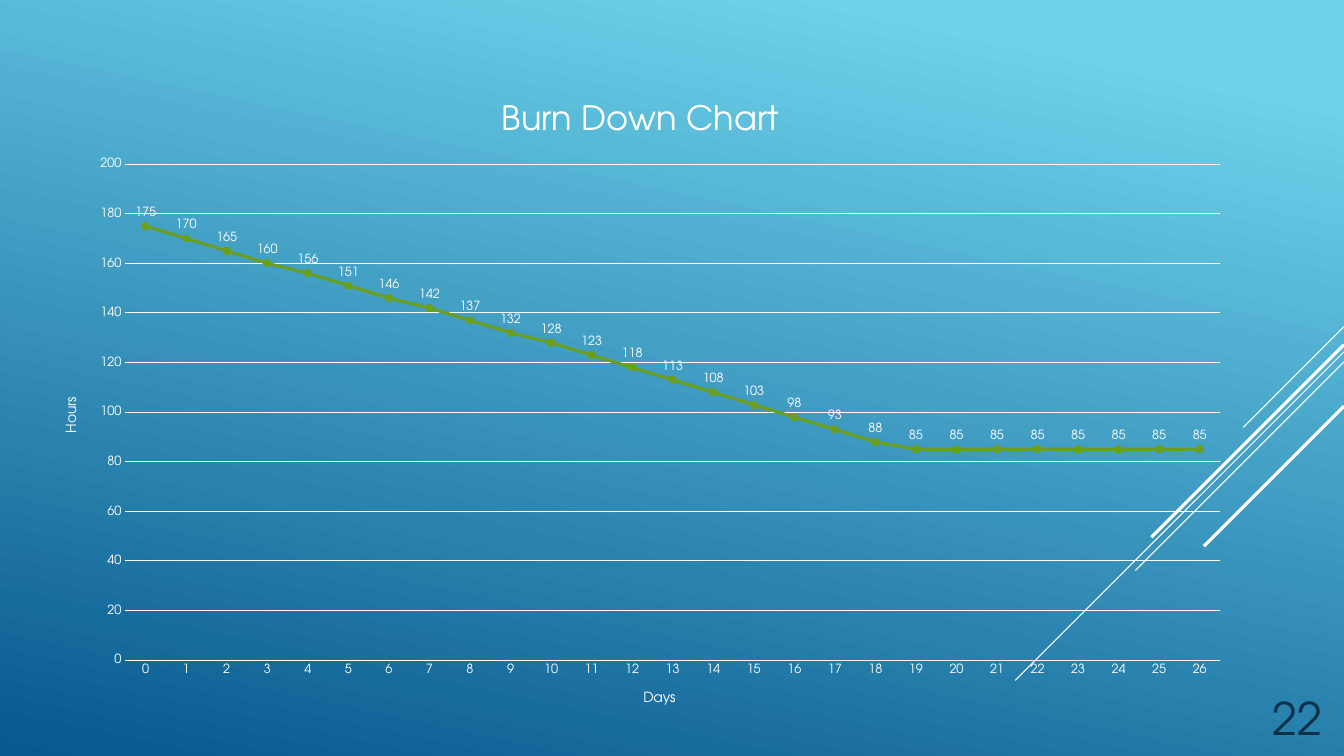
from lxml import etree
from pptx import Presentation
from pptx.chart.data import CategoryChartData
from pptx.dml.color import RGBColor
from pptx.enum.chart import (XL_CHART_TYPE, XL_LABEL_POSITION,
                             XL_MARKER_STYLE, XL_TICK_MARK)
from pptx.enum.text import MSO_ANCHOR, PP_ALIGN
from pptx.oxml.ns import qn
from pptx.util import Inches, Pt

LINE_CHART = XL_CHART_TYPE.LINE_MARKERS_STACKED
LABEL_ABOVE = XL_LABEL_POSITION.ABOVE
CIRCLE = XL_MARKER_STYLE.CIRCLE
NO_TICK = XL_TICK_MARK.NONE
BOTTOM = MSO_ANCHOR.BOTTOM
RIGHT = PP_ALIGN.RIGHT

WIDTH, HEIGHT = 13.33, 7.5
FONT = "TeX Gyre Adventor"
COLORS = {"sky": "6ED2EB", "deep": "06588E", "white": "FFFFFF",
          "green": "6A9E1F", "navy": "0A304A"}

# Diagonals start on the right edge: (start height, run, line width)
DIAGONALS = [(3.24, 1.0, 0.75), (3.49, 3.26, 0.75), (3.59, 2.07, 0.75),
             (3.42, 1.91, 2.25), (4.03, 1.39, 2.25)]
HOURS_LEFT = [175, 170, 165, 160, 156, 151, 146, 142, 137, 132, 128, 123, 118,
              113, 108, 103, 98, 93, 88] + [85] * 8


def color(name):
    return RGBColor.from_string(COLORS[name])


def style_font(font, size, name="white"):
    font.name, font.size, font.bold = FONT, Pt(size), False
    font.color.rgb = color(name)


def style_line(line, name, width):
    line.color.rgb = color(name)
    line.width = Pt(width)


def paint_background(page):
    fill = page.background.fill
    fill.gradient()
    fill.gradient_angle = 258
    for stop, name, position in zip(fill.gradient_stops, ("sky", "deep"), (0.1, 1)):
        stop.color.rgb = color(name)
        stop.position = position


def add_diagonal(page, top, run, width):
    line = page.shapes.add_connector(1, Inches(WIDTH), Inches(top),
                                     Inches(WIDTH - run), Inches(top + run))
    style_line(line.line, "white", width)
    etree.SubElement(line._element.spPr, qn("a:effectLst"))


def place(element, index, **shares):
    """Fix a chart part's place, in shares of the chart's size."""
    for old in element.findall(qn("c:layout")):
        element.remove(old)
    layout = etree.Element(qn("c:layout"))
    manual = etree.SubElement(layout, qn("c:manualLayout"))
    if "w" in shares:
        etree.SubElement(manual, qn("c:layoutTarget")).set("val", "inner")
    for side in "xy":
        etree.SubElement(manual, qn(f"c:{side}Mode")).set("val", "edge")
    for key, share in shares.items():
        etree.SubElement(manual, qn(f"c:{key}")).set("val", str(share))
    element.insert(index, layout)


def set_title(owner, text, size, x, y):
    owner.has_title = True
    title = owner.chart_title if hasattr(owner, "chart_title") else owner.axis_title
    title.text_frame.text = text
    style_font(title.text_frame.paragraphs[0].runs[0].font, size)
    place(title._element, 1, x=x, y=y)


def style_axis(axis):
    axis.major_tick_mark = axis.minor_tick_mark = NO_TICK
    style_font(axis.tick_labels.font, 9)


def style_series(series):
    series.smooth = False
    style_line(series.format.line, "green", 2.25)
    marker = series.marker
    marker.style, marker.size = CIRCLE, 5
    marker.format.fill.solid()
    marker.format.fill.fore_color.rgb = color("green")
    style_line(marker.format.line, "green", 0.75)
    labels = series.data_labels
    labels.show_value, labels.position = True, LABEL_ABOVE
    style_font(labels.font, 9)


def add_burn_down(page):
    data = CategoryChartData()
    data.categories = [str(day) for day in range(len(HOURS_LEFT))]
    data.add_series("Series 1", HOURS_LEFT)
    chart = page.shapes.add_chart(LINE_CHART, Inches(0.37), Inches(0.75),
                                  Inches(11.97), Inches(6.46), data).chart
    chart.has_legend = False
    style_font(chart.font, 10)
    chart.plots[0].vary_by_categories = False
    style_series(chart.plots[0].series[0])

    # Axes
    days, hours = chart.category_axis, chart.value_axis
    style_axis(days)
    style_axis(hours)
    style_line(days.format.line, "white", 0.75)
    hours.format.line.fill.background()
    hours.minimum_scale, hours.maximum_scale, hours.major_unit = 0, 200, 20
    style_line(hours.major_gridlines.format.line, "white", 0.75)

    # Titles and plot area
    set_title(chart, "Burn Down Chart", 24, 0.38, 0.03)
    set_title(days, "Days", 10, 0.5, 0.94)
    set_title(hours, "Hours", 10, 0.02, 0.49)
    plot_area = chart._chartSpace.chart.plotArea
    place(plot_area, 0, x=0.073, y=0.136, w=0.907, h=0.762)


def add_page_number(page, number):
    box = page.shapes.add_textbox(Inches(11.96), Inches(6.71),
                                  Inches(1.25), Inches(0.73))
    frame = box.text_frame
    frame.word_wrap, frame.vertical_anchor = True, BOTTOM
    frame.text = str(number)
    para = frame.paragraphs[0]
    para.alignment = RIGHT
    style_font(para.runs[0].font, 32, "navy")


def main():
    deck = Presentation()
    deck.slide_width, deck.slide_height = Inches(WIDTH), Inches(HEIGHT)
    page = deck.slides.add_slide(deck.slide_layouts[6])
    paint_background(page)
    for diagonal in DIAGONALS:
        add_diagonal(page, *diagonal)
    add_burn_down(page)
    add_page_number(page, 22)
    deck.save("out.pptx")


main()
